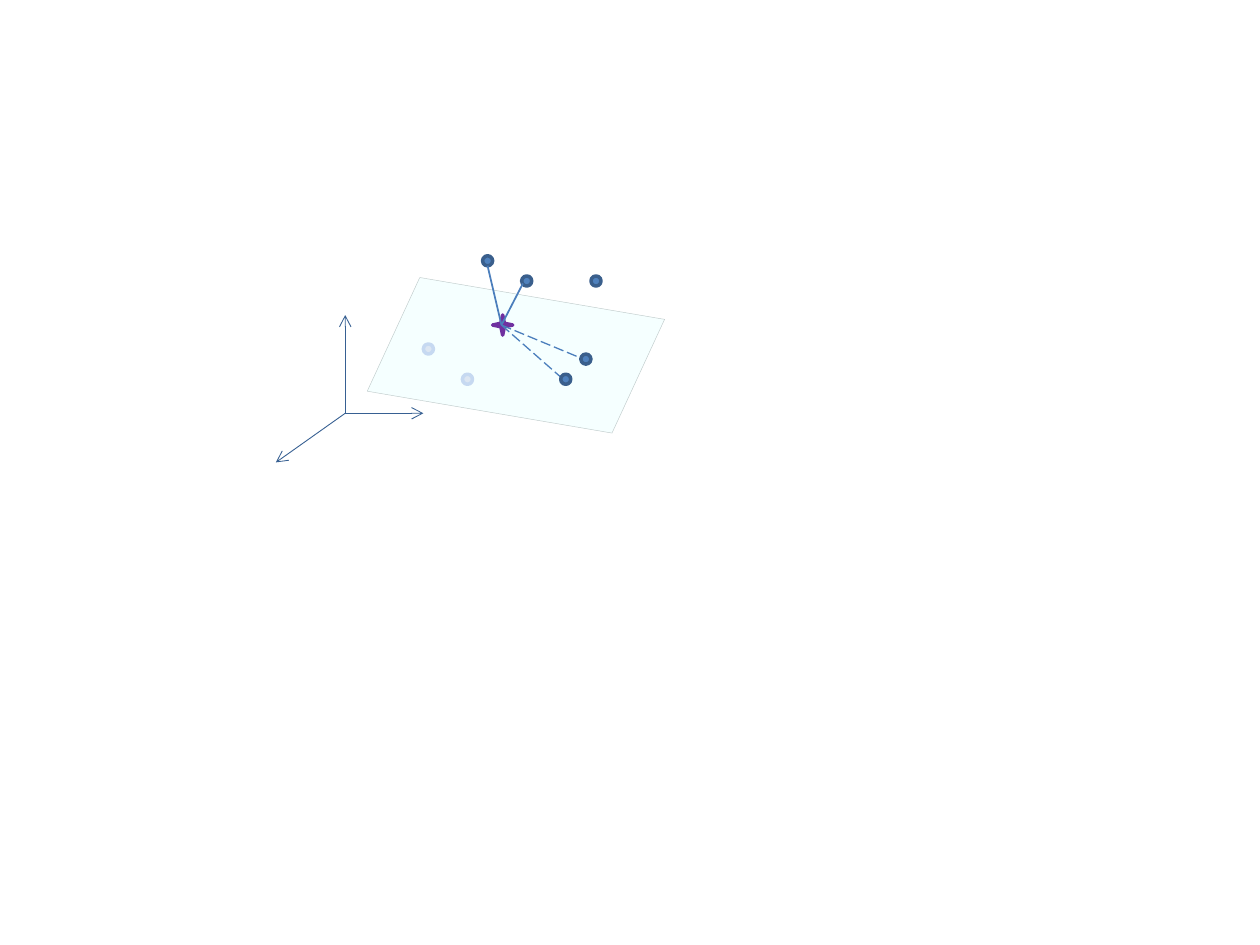
"""Build a slide with a tilted plane, three axes and points joined to a star."""
from lxml import etree
from pptx import Presentation
from pptx.dml.color import RGBColor
from pptx.enum.dml import MSO_LINE
from pptx.enum.shapes import MSO_CONNECTOR, MSO_SHAPE
from pptx.oxml.ns import qn
from pptx.util import Inches, Pt

STRAIGHT = MSO_CONNECTOR.STRAIGHT
PLANE, STAR, DOT = MSO_SHAPE.PARALLELOGRAM, MSO_SHAPE.STAR_4_POINT, MSO_SHAPE.FLOWCHART_CONNECTOR
LONG_DASH = MSO_LINE.LONG_DASH

DOT_SIZE = 0.08
STRONG, FAINT = ("4F81BD", "3A5F8C"), ("DCE6F2", "C6D9F1")
ORIGIN, AXIS_ENDS = (2.74, 3.28), [(2.19, 3.67), (2.74, 2.5), (3.36, 3.28)]
HUB = (3.98, 2.58)
SPOKES = [
    ((4.47, 3.01), 0.75, LONG_DASH),
    ((4.63, 2.85), 0.75, LONG_DASH),
    ((4.15, 2.25), 1, None),
    ((3.87, 2.11), 1, None),
]
BACK_DOTS = [(3.83, 2.03, STRONG), (4.14, 2.19, STRONG)]
FRONT_DOTS = [
    (4.61, 2.81, STRONG),
    (4.45, 2.97, STRONG),
    (3.67, 2.97, FAINT),
    (3.36, 2.73, FAINT),
    (4.69, 2.19, STRONG),
]


def rgb(value):
    """Return the colour for a hex string."""
    return RGBColor.from_string(value)


def add_shape(s, kind, box, fill, line, width=2):
    """Add a filled and outlined preset shape."""
    sp = s.shapes.add_shape(kind, *map(Inches, box))
    sp.shadow.inherit = False
    sp.fill.solid()
    sp.fill.fore_color.rgb = rgb(fill)
    sp.line.color.rgb = rgb(line)
    sp.line.width = Pt(width)
    return sp


def add_line(s, start, end, color, width, dash=None, arrow=False):
    """Add a straight line, dashed or with an arrowhead on request."""
    c = s.shapes.add_connector(STRAIGHT, *map(Inches, start + end))
    c.line.color.rgb = rgb(color)
    c.line.width = Pt(width)
    if dash:
        c.line.dash_style = dash
    if arrow:
        etree.SubElement(c.line._get_or_add_ln(), qn("a:tailEnd"), type="arrow")
    etree.SubElement(c._element.spPr, qn("a:effectLst"))


def add_dots(s, dots):
    """Add the round points of one layer."""
    for x, y, (fill, line) in dots:
        add_shape(s, DOT, (x, y, DOT_SIZE, DOT_SIZE), fill, line)


def main():
    """Draw the slide from back to front and save it."""
    prs = Presentation()
    prs.slide_width, prs.slide_height = Inches(10), Inches(7.5)
    s = prs.slides.add_slide(prs.slide_layouts[6])

    plane = add_shape(s, PLANE, (2.98, 2.34, 2.23, 0.96), "F5FFFF", "BFCACA", 0.25)
    plane.adjustments[0] = 0.27
    plane.rotation = 9.7

    for end in AXIS_ENDS:
        add_line(s, ORIGIN, end, "376092", 0.5, arrow=True)
    add_shape(s, STAR, (3.91, 2.5, 0.16, 0.16), "7030A0", "7030A0")
    add_dots(s, BACK_DOTS)
    for end, width, dash in SPOKES:
        add_line(s, HUB, end, "4B7EBC", width, dash)
    add_dots(s, FRONT_DOTS)
    prs.save("out.pptx")


if __name__ == "__main__":
    main()
